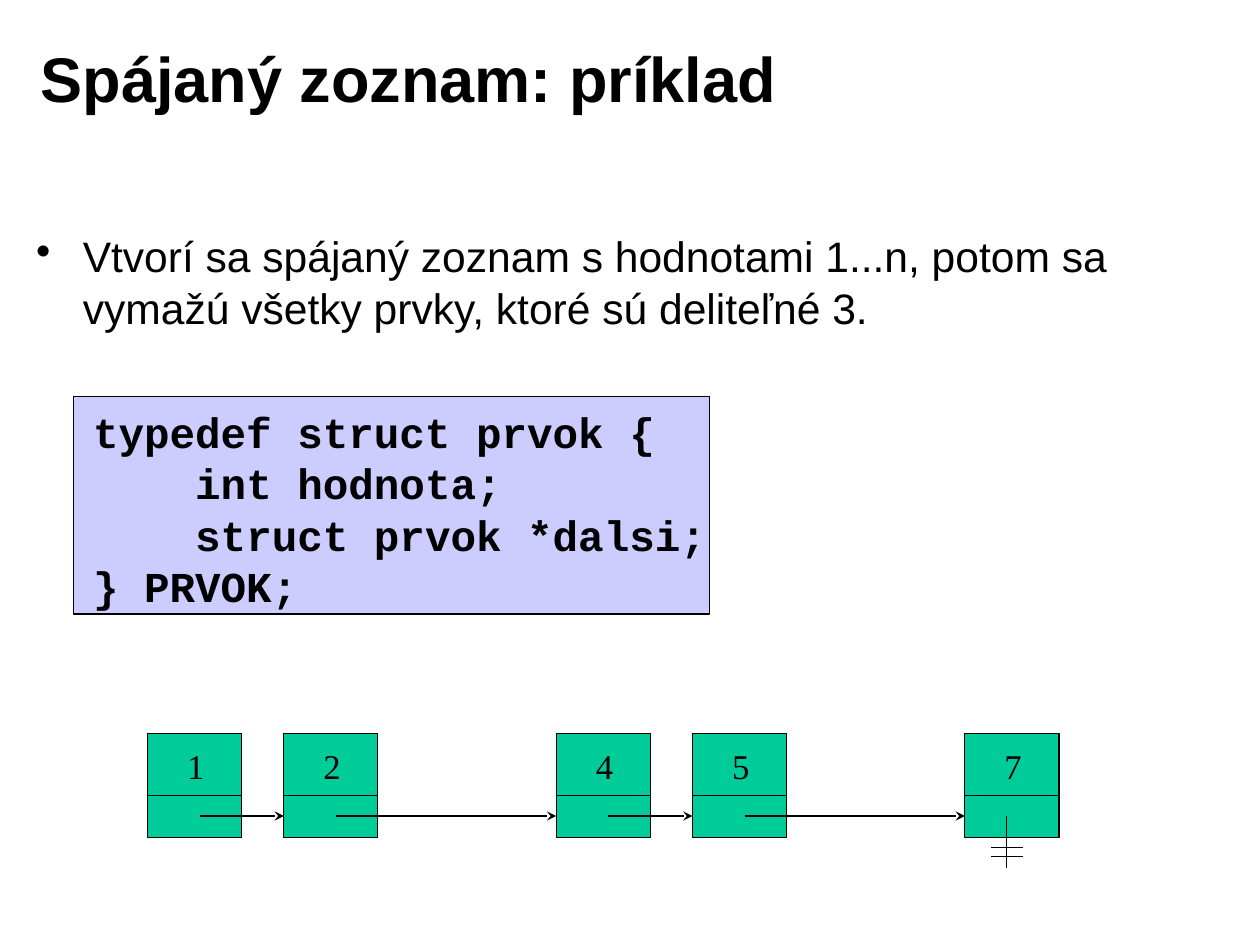
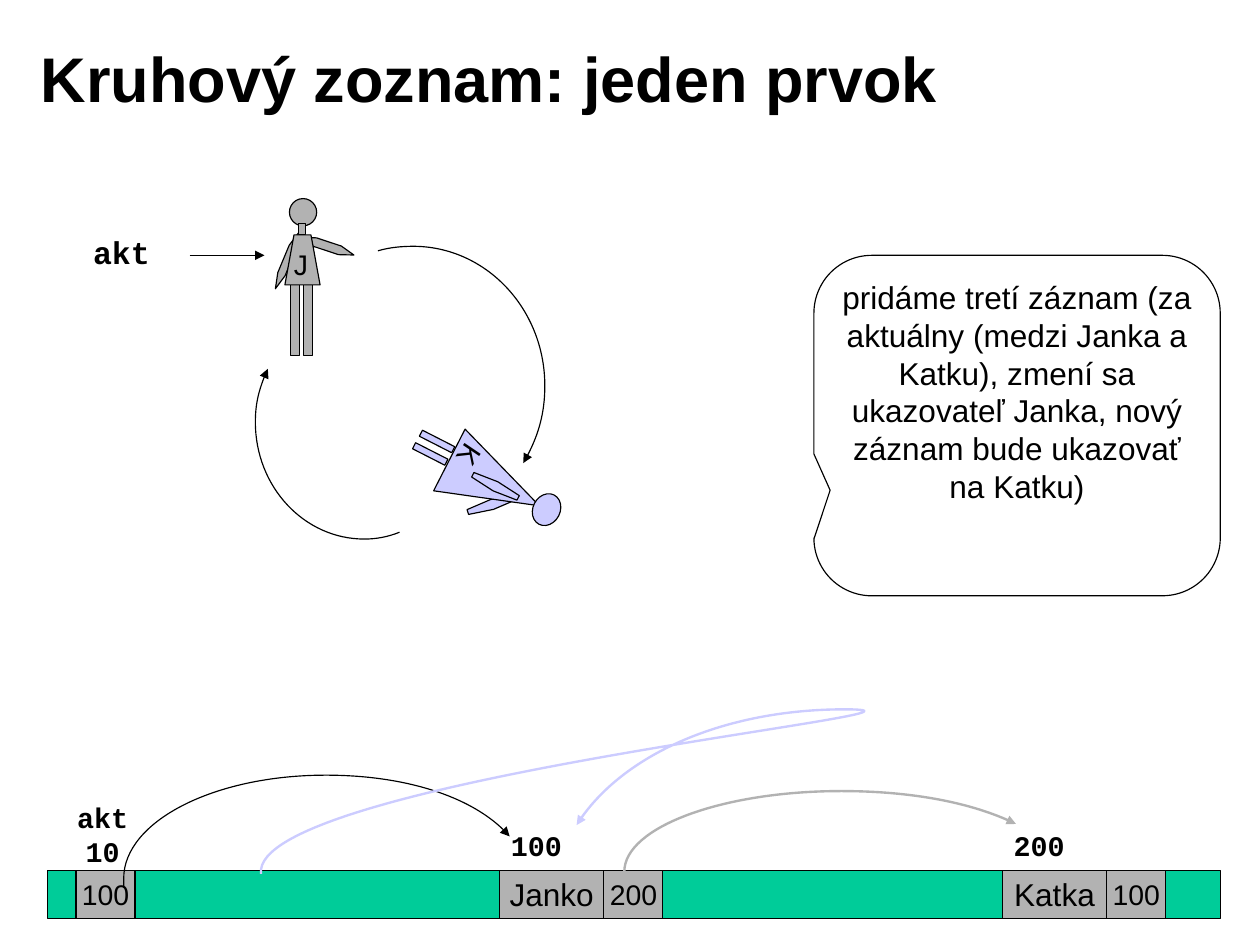
from lxml.etree import SubElement
from pptx import Presentation
from pptx.dml.color import RGBColor
from pptx.enum.shapes import MSO_CONNECTOR as CONN, MSO_SHAPE as SHAPE
from pptx.enum.text import MSO_ANCHOR as ANCHOR, MSO_AUTO_SIZE as AUTO, PP_ALIGN as ALIGN
from pptx.oxml.ns import qn
from pptx.util import Pt

PX = 9144
BLACK, WHITE = "000000", "FFFFFF"
GREEN, LILAC, GREY = "00CC99", "CCCCFF", "B2B2B2"
SANS, MONO, SERIF = "Arial", "Courier New", "Times New Roman"
WIDE_INSET = (11, 6)


def rgb(value):
    """Turn a hex string into a colour."""
    return RGBColor.from_string(value)


def emu(*lengths):
    """Turn px lengths into EMU."""
    return [n * PX for n in lengths]


def outline(sp, color=BLACK, width=0.75, tail=None):
    """Set the line of a shape or connector, with an optional arrowhead."""
    sp.line.color.rgb = rgb(color)
    sp.line.width = Pt(width)
    if tail:
        ln = sp.element.find(".//" + qn("a:ln"))
        SubElement(ln, qn("a:tailEnd"), type=tail)


def write(sp, lines, size, font=SANS, bold=False, align=ALIGN.CENTER,
          anchor=ANCHOR.TOP, wrap=False, inset=(10, 5)):
    """Fill a text frame with one paragraph per line and return them."""
    tf = sp.text_frame
    tf.word_wrap = wrap
    tf.vertical_anchor = anchor
    tf.margin_left, tf.margin_top = tf.margin_right, tf.margin_bottom = emu(*inset)
    for i, line in enumerate(lines):
        p = tf.paragraphs[0] if i == 0 else tf.add_paragraph()
        p.alignment = align
        r = p.add_run()
        r.text = line
        r.font.size = Pt(size)
        r.font.name = font
        r.font.bold = bold
        r.font.color.rgb = rgb(BLACK)
    return tf.paragraphs


def textbox(s, box, lines, size, grow=True, rot=0, **style):
    """Add a text box and return its paragraphs."""
    sp = s.shapes.add_textbox(*emu(*box))
    sp.rotation = rot
    paragraphs = write(sp, lines, size, **style)
    if grow:
        sp.text_frame.auto_size = AUTO.SHAPE_TO_FIT_TEXT
    return paragraphs


def shape(s, kind, box, fill, rot=0, adj=()):
    """Add an outlined preset shape."""
    sp = s.shapes.add_shape(kind, *emu(*box))
    sp.shadow.inherit = False
    sp.fill.solid()
    sp.fill.fore_color.rgb = rgb(fill)
    outline(sp)
    sp.rotation = rot
    for i, value in enumerate(adj):
        sp.adjustments[i] = value
    return sp


def line(s, x1, y1, x2, y2, width=0.75, tail=None):
    """Add a straight line or arrow."""
    sp = s.shapes.add_connector(CONN.STRAIGHT, *emu(x1, y1, x2, y2))
    outline(sp, width=width, tail=tail)
    SubElement(sp.element.spPr, qn("a:effectLst"))


def freeform(s, points, close):
    """Add an outline through the given points."""
    builder = s.shapes.build_freeform(*points[0], scale=PX)
    builder.add_line_segments(points[1:], close=close)
    sp = builder.convert_to_shape()
    sp.shadow.inherit = False
    return sp


def curve(s, points, color=BLACK, width=0.75):
    """Add a curved arrow from a start and triples of Bézier points."""
    sp = freeform(s, points, close=False)
    sp.fill.background()
    outline(sp, color, width, "triangle")
    path = next(sp.element.iter(qn("a:path")))
    segments = path.findall(qn("a:lnTo"))
    for i in range(0, len(segments), 3):
        cubic = SubElement(path, qn("a:cubicBezTo"))
        for segment in segments[i:i + 3]:
            cubic.append(segment[0])
            path.remove(segment)


def titled_slide(prs, title):
    """Add a blank slide with the shared title style."""
    s = prs.slides.add_slide(prs.slide_layouts[6])
    textbox(s, (25, 17, 892, 102), [title], 40, grow=False, bold=True,
            align=ALIGN.LEFT, anchor=ANCHOR.MIDDLE, wrap=True, inset=WIDE_INSET)
    return s


def bullet(s, box, text):
    """Add one bulleted paragraph."""
    p = textbox(s, box, [text], 27, grow=False, align=ALIGN.LEFT, wrap=True,
                inset=WIDE_INSET)[0]
    p.space_before = Pt(6.8)
    pPr = p._p.get_or_add_pPr()
    pPr.set("marL", str(41 * PX))
    pPr.set("indent", str(-41 * PX))
    SubElement(pPr, qn("a:buChar"), char="•")


def code_panel(s, x, y, w, h, lines):
    """Add a lilac panel with code given as (indent level, text) pairs."""
    shape(s, SHAPE.RECTANGLE, (x, y, w, h), LILAC)
    paragraphs = textbox(s, (x + 6, y + 3, w + 2, h - 1), [t for _, t in lines], 27,
                         font=MONO, bold=True, align=ALIGN.LEFT, inset=WIDE_INSET)
    for p, (level, _) in zip(paragraphs, lines):
        p._p.get_or_add_pPr().set("marL", str(level * 90 * PX))


def linked_list(s, x, y, values, pitch=120):
    """Draw list nodes in slots by value, linked by arrows and grounded at the end."""
    lefts = [x + pitch * (value - 1) for value in values]
    for left, value in zip(lefts, values):
        shape(s, SHAPE.RECTANGLE, (left, y, 83, 92), GREEN)
        line(s, left, y + 55, left + 83, y + 55)
        textbox(s, (left + 25, y + 5, 35, 47), [str(value)], 22, font=SERIF)
    for left, following in zip(lefts, lefts[1:]):
        line(s, left + 46, y + 73, following, y + 73, 1, "stealth")
    end = lefts[-1] + 37
    line(s, end, y + 73, end, y + 119)
    for bar in (101, 109):
        line(s, end - 14, y + bar, end + 14, y + bar)


def figure(s, x, y, fill, parts):
    """Draw the preset parts of a person relative to a corner."""
    for kind, (dx, dy, w, h), rot, adj in parts:
        shape(s, kind, (x + dx, y + dy, w, h), fill, rot, adj)


def janko(s, x, y):
    """Draw the standing grey person J."""
    figure(s, x, y, GREY, [
        (SHAPE.HEXAGON, (-12, 51, 54, 7), 292.6, (1.99, 1.15)),
        (SHAPE.HEXAGON, (26, 38, 49, 8), 18.3, (1.62, 1.15)),
        (SHAPE.OVAL, (17, 0, 24, 24), 0, ()),
        (SHAPE.RECTANGLE, (18, 71, 8, 67), 0, ()),
        (SHAPE.RECTANGLE, (29, 71, 8, 67), 0, ()),
        (SHAPE.RECTANGLE, (25, 22, 6, 10), 0, ()),
    ])
    dress = [(13, 76), (21, 32), (36, 32), (44, 76)]
    sp = freeform(s, [(x + dx, y + dy) for dx, dy in dress], close=True)
    sp.fill.solid()
    sp.fill.fore_color.rgb = rgb(GREY)
    outline(sp)
    textbox(s, (x + 11, y + 38, 32, 40), ["J"], 18)


def katka(s, x, y):
    """Draw the tilted lilac person K."""
    tilt, arm = 117, (0.25, 1.15)
    figure(s, x, y, LILAC, [
        (SHAPE.HEXAGON, (59, 49, 9, 45), 72.6, arm),
        (SHAPE.ISOSCELES_TRIANGLE, (35, 8, 61, 89), tilt, ()),
        (SHAPE.HEXAGON, (62, 33, 9, 45), tilt, arm),
        (SHAPE.OVAL, (97, 64, 29, 24), tilt, ()),
        (SHAPE.RECTANGLE, (12, 0, 6, 32), tilt, ()),
        (SHAPE.RECTANGLE, (6, 11, 6, 32), tilt, ()),
    ])
    textbox(s, (x + 26, y + 8, 36, 40), ["K"], 18, rot=124)


def cell(s, x, y, w, text, size):
    """Draw one grey memory cell."""
    sp = shape(s, SHAPE.RECTANGLE, (x, y, w, 42), GREY)
    write(sp, [text], size, anchor=ANCHOR.MIDDLE)


def record(s, x, y, name, link, address):
    """Draw a record with its name, link and address label."""
    cell(s, x, y, 92, name, 20)
    cell(s, x + 92, y, 52, link, 18)
    textbox(s, (x, y - 42, 65, 40), [address], 18, font=MONO, bold=True)


def memory(s, x, y):
    """Draw the memory strip with the current pointer and two records."""
    shape(s, SHAPE.RECTANGLE, (x, y, 1033, 42), GREEN)
    cell(s, x + 25, y, 52, "100", 18)
    textbox(s, (x + 16, y - 67, 65, 70), ["akt", "10"], 18, font=MONO, bold=True)
    record(s, x + 398, y, "Janko", "200", "100")
    record(s, x + 841, y, "Katka", "100", "200")


def callout(s, box, text):
    """Add a white speech bubble."""
    sp = shape(s, SHAPE.ROUNDED_RECTANGULAR_CALLOUT, box, WHITE, adj=(-0.46, 0.19, 0.17))
    write(sp, [text], 20, wrap=True)


def example_slide(prs):
    """Build the linked list example."""
    s = titled_slide(prs, "Spájaný zoznam: príklad")
    code_panel(s, 65, 349, 560, 192, [
        (0, "typedef struct prvok {"),
        (1, "int hodnota;"),
        (1, "struct prvok *dalsi;"),
        (0, "} PRVOK;"),
    ])
    bullet(s, (21, 197, 1066, 136),
           "Vtvorí sa spájaný zoznam s hodnotami 1...n, potom sa vymažú všetky prvky, "
           "ktoré sú deliteľné 3.")
    linked_list(s, 130, 646, [1, 2, 4, 5, 7])


def circular_slide(prs):
    """Build the circular list with people and memory."""
    s = titled_slide(prs, "Kruhový zoznam: jeden prvok")
    katka(s, 370, 373)
    janko(s, 238, 175)
    line(s, 167, 225, 233, 225, tail="triangle")
    textbox(s, (72, 200, 70, 44), ["akt"], 20, font=MONO, bold=True)
    memory(s, 42, 767)
    curve(s, [(109, 782), (109, 780), (109, 777), (109, 774), (109, 724), (188, 683),
              (287, 683), (357, 683), (421, 704), (449, 737)])
    curve(s, [(551, 775), (551, 773), (550, 770), (550, 768), (550, 729), (636, 697),
              (741, 697), (802, 697), (859, 708), (895, 726)], GREY, 1.5)
    curve(s, [(352, 469), (342, 473), (332, 475), (321, 475), (268, 475), (225, 429),
              (225, 372), (225, 356), (229, 340), (236, 325)])
    curve(s, [(333, 221), (343, 218), (354, 217), (364, 217), (428, 217), (480, 272),
              (480, 340), (480, 364), (473, 388), (461, 408)])
    curve(s, [(230, 770), (219, 688), (876, 625), (744, 625), (640, 625), (546, 666),
              (508, 727)], LILAC, 1.5)
    callout(s, (717, 225, 358, 300),
            "pridáme tretí záznam (za aktuálny (medzi Janka a Katku), zmení sa "
            "ukazovateľ Janka, nový záznam bude ukazovať na Katku)")


def main():
    """Build and save the presentation."""
    prs = Presentation()
    prs.slide_width, prs.slide_height = emu(1110, 830)
    example_slide(prs)
    circular_slide(prs)
    prs.save("out.pptx")


if __name__ == "__main__":
    main()
